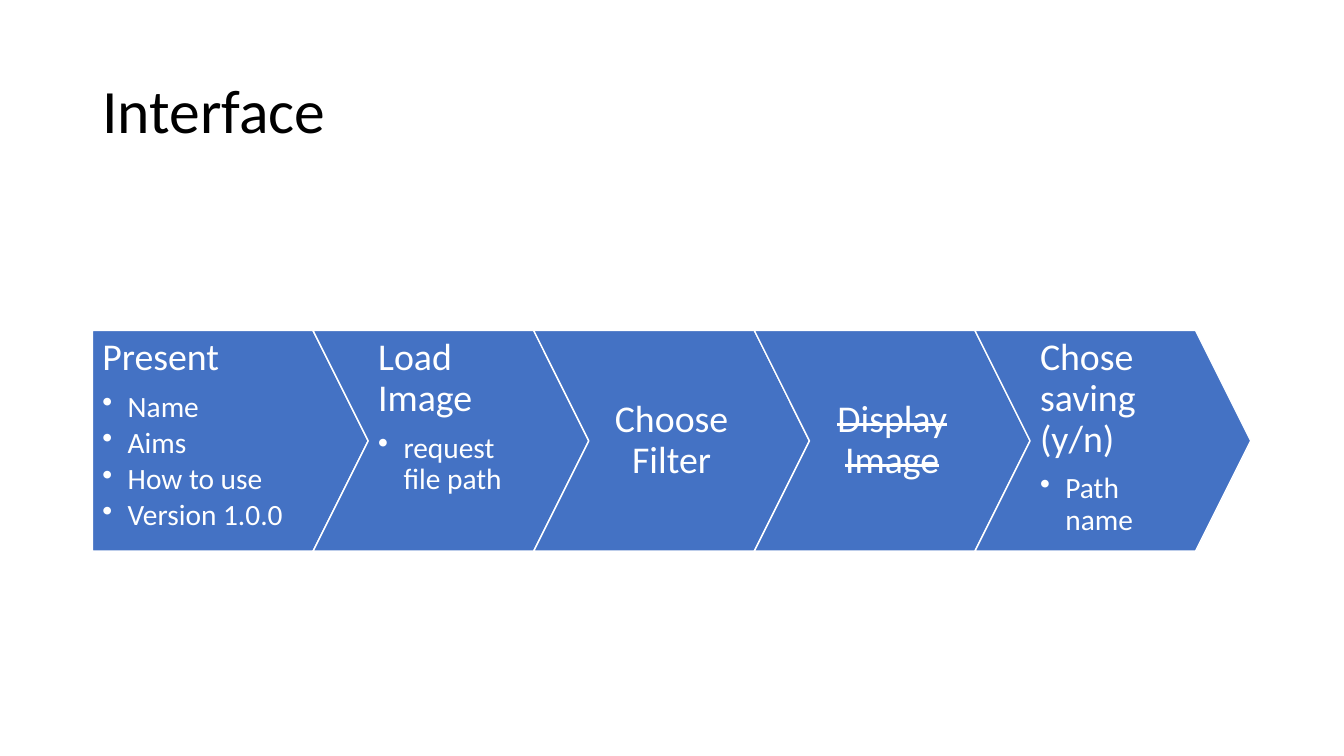
from lxml import etree
from pptx import Presentation, util as u
from pptx.dml.color import RGBColor
from pptx.enum import shapes, text
from pptx.oxml.ns import qn

TITLE = "Interface"
# heading, bullets, struck through
STEPS = [
    ("Present", ["Name", "Aims", "How to use", "Version 1.0.0"], False),
    ("Load Image", ["request file path"], False),
    ("Choose Filter", [], False),
    ("Display Image", [], True),
    ("Chose saving (y/n)", ["Path name"], False),
]

FONT = "Calibri"
BLUE = RGBColor(0x44, 0x72, 0xC4)
WHITE = RGBColor(0xFF, 0xFF, 0xFF)
BLACK = RGBColor(0, 0, 0)
TITLE_SIZE, HEADING_SIZE, BULLET_SIZE = 44, 27, 21

LEFT, TOP = 2.33, 8.33
HEIGHT = 5.56
POINT = HEIGHT / 4
WIDTH = HEIGHT + POINT
INDENT = u.Cm(0.64)


def style(para, size, color, space_after=0):
    """Format a paragraph; space_after is a share of the text size."""
    para.line_spacing = 0.9
    para.space_after = u.Pt(size * space_after)
    for span in para.runs:
        span.font.name = FONT
        span.font.size = u.Pt(size)
        span.font.color.rgb = color


def add_bullet(para):
    props = para._p.get_or_add_pPr()
    props.set("marL", str(INDENT))
    props.set("indent", str(-INDENT))
    etree.SubElement(props, qn("a:buChar"), char="•")


def add_title(page):
    box = page.shapes.add_textbox(u.Cm(LEFT), u.Cm(1.01), u.Cm(29.21), u.Cm(3.68))
    frame = box.text_frame
    frame.word_wrap = True
    frame.vertical_anchor = text.MSO_ANCHOR.MIDDLE
    frame.text = TITLE
    style(frame.paragraphs[0], TITLE_SIZE, BLACK)


def add_step(page, index, heading, bullets, struck):
    first = index == 0
    kind = shapes.MSO_SHAPE.PENTAGON if first else shapes.MSO_SHAPE.CHEVRON
    arrow = page.shapes.add_shape(kind, u.Cm(LEFT + index * HEIGHT), u.Cm(TOP),
                                  u.Cm(WIDTH), u.Cm(HEIGHT))
    arrow.adjustments[0] = POINT / HEIGHT
    arrow.shadow.inherit = False
    arrow.fill.solid()
    arrow.fill.fore_color.rgb = BLUE
    arrow.line.color.rgb = WHITE
    arrow.line.width = u.Pt(1)

    frame = arrow.text_frame
    frame.word_wrap = True
    frame.margin_left = u.Cm(0.25)
    frame.margin_right = u.Cm(0.99 if first else 0.25)
    frame.margin_top = frame.margin_bottom = u.Cm(0.18)
    frame.vertical_anchor = text.MSO_ANCHOR.TOP if bullets else text.MSO_ANCHOR.MIDDLE

    frame.text = heading
    para = frame.paragraphs[0]
    para.alignment = text.PP_ALIGN.LEFT if bullets else text.PP_ALIGN.CENTER
    style(para, HEADING_SIZE, WHITE, 0.35)
    if struck:
        para.runs[0].font._element.set("strike", "sngStrike")

    for bullet in bullets:
        para = frame.add_paragraph()
        para.text = bullet
        para.level = 1
        para.alignment = text.PP_ALIGN.LEFT
        style(para, BULLET_SIZE, WHITE, 0.15)
        add_bullet(para)


def main():
    deck = Presentation()
    deck.slide_width, deck.slide_height = u.Cm(33.87), u.Cm(19.05)
    page = deck.slides.add_slide(deck.slide_layouts[6])
    add_title(page)
    for index, step in enumerate(STEPS):
        add_step(page, index, *step)
    deck.save("out.pptx")


if __name__ == "__main__":
    main()
